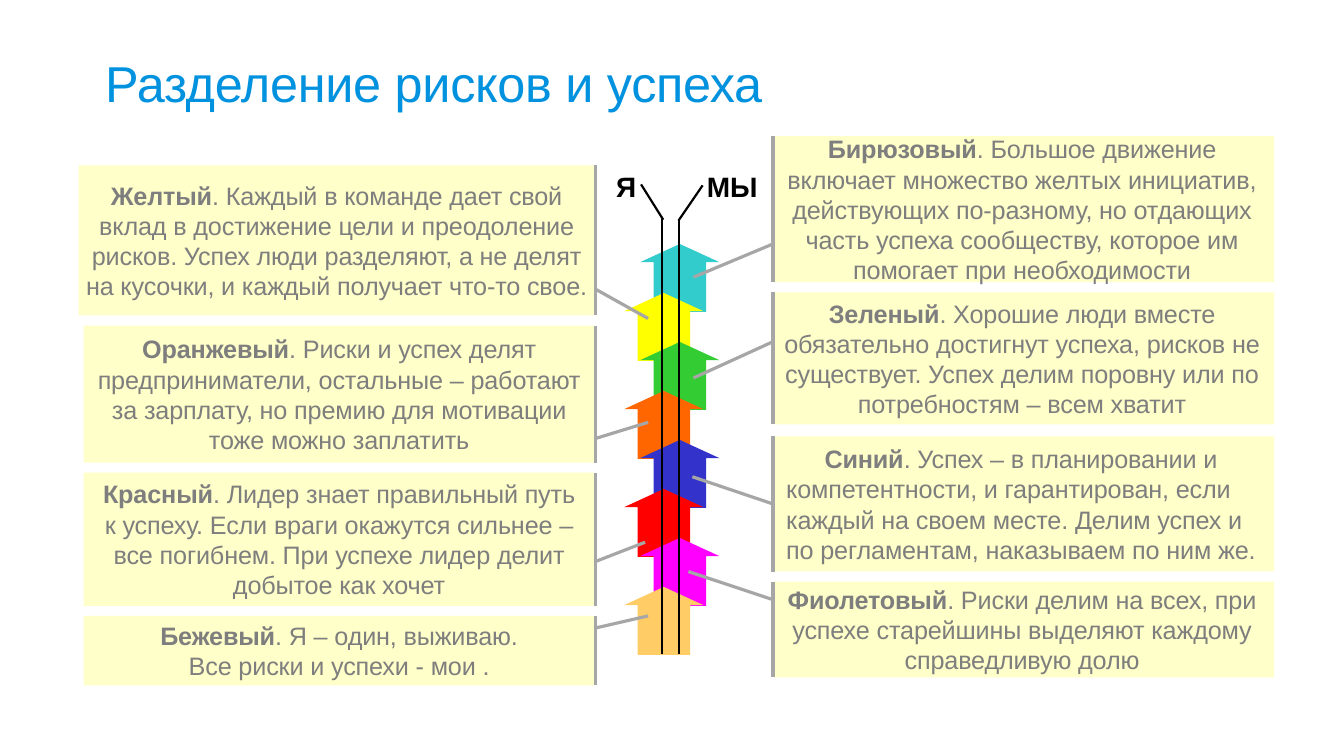
"""Builds the slide on sharing risk and success; lengths are percentages of the slide."""
from typing import NamedTuple

from pptx import Presentation
from pptx import util as u
from pptx.dml.color import RGBColor
from pptx.enum import shapes, text

WIDTH, HEIGHT = u.Inches(13.333), u.Inches(7.5)
CARD_FILL, CARD_TEXT, LEADER = "FFFFC9", "7E7E7E", "A6A6A6"
ARROW_COLORS = ["33CCCC", "FFFF00", "33CC33", "FF6600", "3333CC", "FF0000", "FF00FF", "FFCC66"]
ARROW_TOP, ARROW_STEP, ARROW_WIDTH, ARROW_HEIGHT = 32.27, 6.48, 5.92, 8.98
WE_COLUMN, I_COLUMN = 47.62, 46.43
LINE_HEIGHT = 4.06


class Side(NamedTuple):
    left: float
    right: float
    rule: float
    inset: float


class Level(NamedTuple):
    side: Side
    top: float
    bottom: float
    leader_start: float
    leader_end: tuple[float, float]
    name: str
    lines: list[str]
    first_indent: float = 0


I_SIDE = Side(6.22, 44.25, 44.32, 0)
YELLOW_SIDE = I_SIDE._replace(left=5.85)
WE_SIDE = Side(57.6, 94.8, 57.52, 0.3)

LEVELS = [
    Level(WE_SIDE, 18, 37.33, 32.27, (51.6, 36.67), "Бирюзовый", [
        ". Большое движение", "включает множество желтых инициатив,",
        "действующих по-разному, но отдающих",
        "часть успеха сообществу, которое им", "помогает при необходимости"]),
    Level(YELLOW_SIDE, 21.87, 41.73, 38.27, (48.22, 42.13), "Желтый", [
        ". Каждый в команде дает свой", "вклад в достижение цели и преодоление",
        "рисков. Успех люди разделяют, а не делят",
        "на кусочки, и каждый получает что-то свое."]),
    Level(WE_SIDE, 38.67, 56.13, 45.2, (51.6, 50), "Зеленый", [
        ". Хорошие люди вместе", "обязательно достигнут успеха, рисков не",
        "существует. Успех делим поровну или по", "потребностям – всем хватит"]),
    Level(I_SIDE, 43.07, 61.2, 58, (48.22, 55.87), "Оранжевый", [
        ". Риски и успех делят", "предприниматели, остальные – работают",
        "за зарплату, но премию для мотивации", "тоже можно заплатить"]),
    Level(WE_SIDE, 57.73, 75.6, 66.67, (51.52, 63.07), "Синий", [
        ". Успех – в планировании и", "компетентности, и гарантирован, если",
        "каждый на своем месте. Делим успех и",
        "по регламентам, наказываем по ним же."], first_indent=2.85),
    Level(I_SIDE, 62.53, 80.13, 74.27, (48, 71.73), "Красный", [
        ". Лидер знает правильный путь", "к успеху. Если враги окажутся сильнее –",
        "все погибнем. При успехе лидер делит", "добытое как хочет"]),
    Level(WE_SIDE, 76.93, 89.6, 79.33, (51.22, 75.6), "Фиолетовый", [
        ". Риски делим на всех, при", "успехе старейшины выделяют каждому",
        "справедливую долю"]),
    Level(I_SIDE, 81.47, 90.67, 83.07, (48.22, 81.47), "Бежевый", [
        ". Я – один, выживаю.", "Все риски и успехи - мои ."]),
]

AXIS_LINES = [
    (49.28, 28.93, 49.28, 86.53), (50.55, 28.93, 50.55, 86.53),
    (50.48, 29.2, 52.28, 24.53), (49.35, 29.07, 47.7, 24.4),
]


def across(share: float) -> int:
    """Convert a percentage of the slide width."""
    return int(WIDTH * share / 100)


def down(share: float) -> int:
    """Convert a percentage of the slide height."""
    return int(HEIGHT * share / 100)


def box(left: float, top: float, width: float, height: float) -> tuple[int, int, int, int]:
    """Convert a rectangle given in percentages."""
    return across(left), down(top), across(width), down(height)


def color(hex_value: str) -> RGBColor:
    """Turn a hex string into a colour."""
    return RGBColor.from_string(hex_value)


def write(paragraph, words: str, *, size: float, ink: str, bold: bool = False,
          tracking: int = -10) -> None:
    """Append formatted words to a paragraph."""
    run = paragraph.add_run()
    run.text = words
    run.font.name, run.font.size, run.font.bold = "Arial", u.Pt(size), bold
    run.font.color.rgb = color(ink)
    run._r.get_or_add_rPr().set("spc", str(tracking))


def add_frame(slide, place: tuple[int, int, int, int], wrap: bool):
    """Add a text box without margins, centred vertically."""
    frame = slide.shapes.add_textbox(*place).text_frame
    frame.margin_left = frame.margin_right = frame.margin_top = frame.margin_bottom = 0
    frame.word_wrap = wrap
    frame.vertical_anchor = text.MSO_ANCHOR.MIDDLE
    return frame


def draw_label(slide, place: tuple[int, int, int, int], words: str, **style) -> None:
    """Draw one free-standing line of text."""
    write(add_frame(slide, place, False).paragraphs[0], words, **style)


def draw_strokes(slide, strokes: list[tuple[float, float, float, float]], ink: str,
                 weight: float) -> None:
    """Draw several straight strokes as one open outline."""
    x, y = strokes[0][:2]
    builder = slide.shapes.build_freeform(across(x), down(y))
    for x1, y1, x2, y2 in strokes:
        builder.move_to(across(x1), down(y1))
        builder.add_line_segments([(across(x2), down(y2))], close=False)
    outline = builder.convert_to_shape()
    outline.shadow.inherit = False
    outline.fill.background()
    outline.line.color.rgb, outline.line.width = color(ink), u.Pt(weight)


def draw_shape(slide, preset, place: tuple[int, int, int, int], fill: str):
    """Draw a flat filled preset shape."""
    shape = slide.shapes.add_shape(preset, *place)
    shape.shadow.inherit = False
    shape.fill.solid()
    shape.fill.fore_color.rgb = color(fill)
    shape.line.fill.background()
    return shape


def draw_arrow(slide, row: int, fill: str) -> None:
    """Draw one level of the spiral, alternating between columns."""
    left = I_COLUMN if row % 2 else WE_COLUMN
    place = box(left, ARROW_TOP + row * ARROW_STEP, ARROW_WIDTH, ARROW_HEIGHT)
    arrow = draw_shape(slide, shapes.MSO_SHAPE.UP_ARROW, place, fill)
    arrow.adjustments[0], arrow.adjustments[1] = 0.66, 0.27


def draw_level(slide, level: Level) -> None:
    """Draw a card with its edge rule, leader and description."""
    side = level.side
    width, height = side.right - side.left, level.bottom - level.top
    draw_shape(slide, shapes.MSO_SHAPE.RECTANGLE,
               box(side.left, level.top, width, height), CARD_FILL)
    draw_strokes(slide, [(side.rule, level.top, side.rule, level.bottom),
                         (side.rule, level.leader_start, *level.leader_end)], LEADER, 2.28)
    text_height = LINE_HEIGHT * len(level.lines)
    text_top = level.top + (height - text_height) / 2
    frame = add_frame(slide, box(side.left, text_top, width - side.inset, text_height), True)
    description = frame.paragraphs[0]
    description.alignment = text.PP_ALIGN.CENTER
    if level.first_indent:
        description.alignment = text.PP_ALIGN.LEFT
        properties = description._p.get_or_add_pPr()
        properties.set("marL", str(across(0.9)))
        properties.set("indent", str(across(level.first_indent)))
    write(description, level.name, size=18, ink=CARD_TEXT, bold=True)
    for number, words in enumerate(level.lines):
        if number:
            description.add_line_break()
        write(description, words, size=18, ink=CARD_TEXT)


def main() -> None:
    """Build and save the slide."""
    deck = Presentation()
    deck.slide_width, deck.slide_height = WIDTH, HEIGHT
    slide = deck.slides.add_slide(deck.slide_layouts[6])
    draw_label(slide, box(7.83, 6.67, 49.65, 8.4), "Разделение рисков и успеха",
               size=36, ink="0192DF", tracking=-20)
    for row, fill in enumerate(ARROW_COLORS):
        draw_arrow(slide, row, fill)
    for level in LEVELS:
        draw_level(slide, level)
    draw_strokes(slide, AXIS_LINES, "000000", 1.56)
    for left, width, pronoun in [(45.85, 1.72, "Я"), (52.6, 3.97, "МЫ")]:
        draw_label(slide, box(left, 22.27, width, 4.8), pronoun, size=20, ink="000000", bold=True)
    deck.save("out.pptx")


if __name__ == "__main__":
    main()
